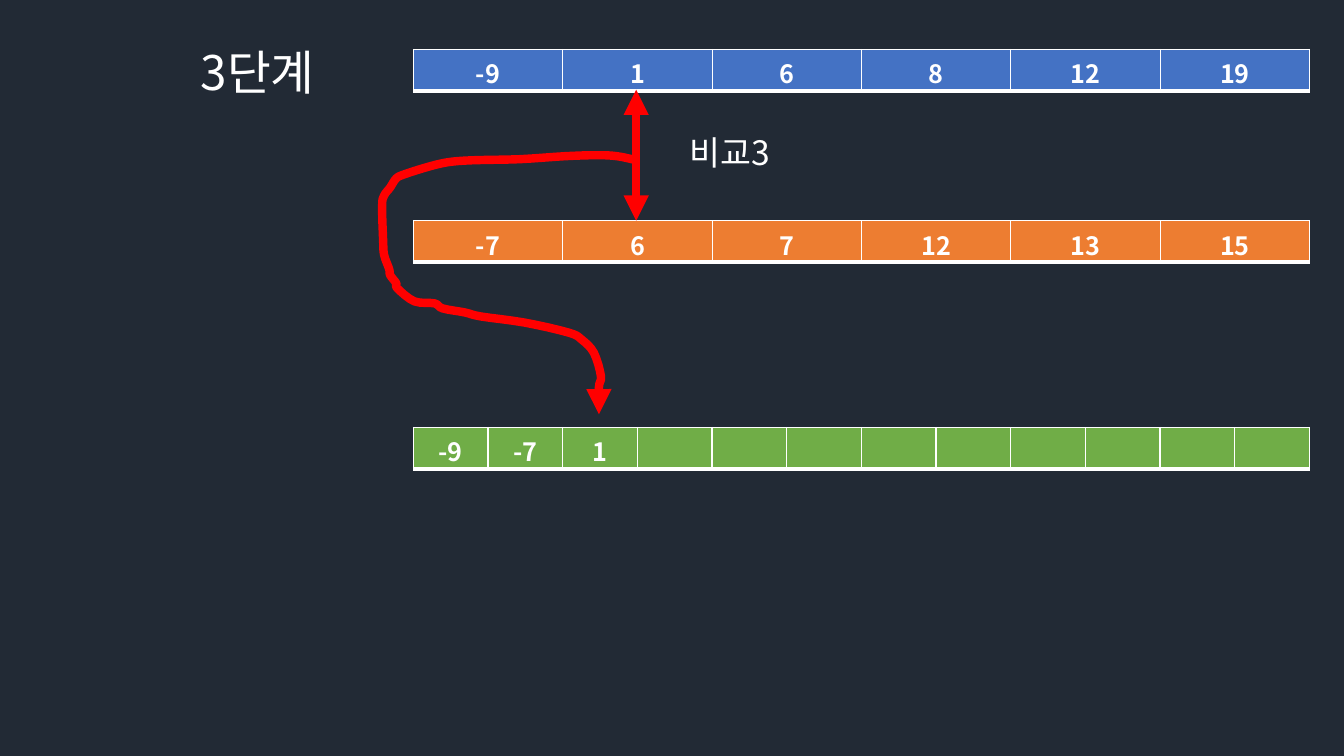
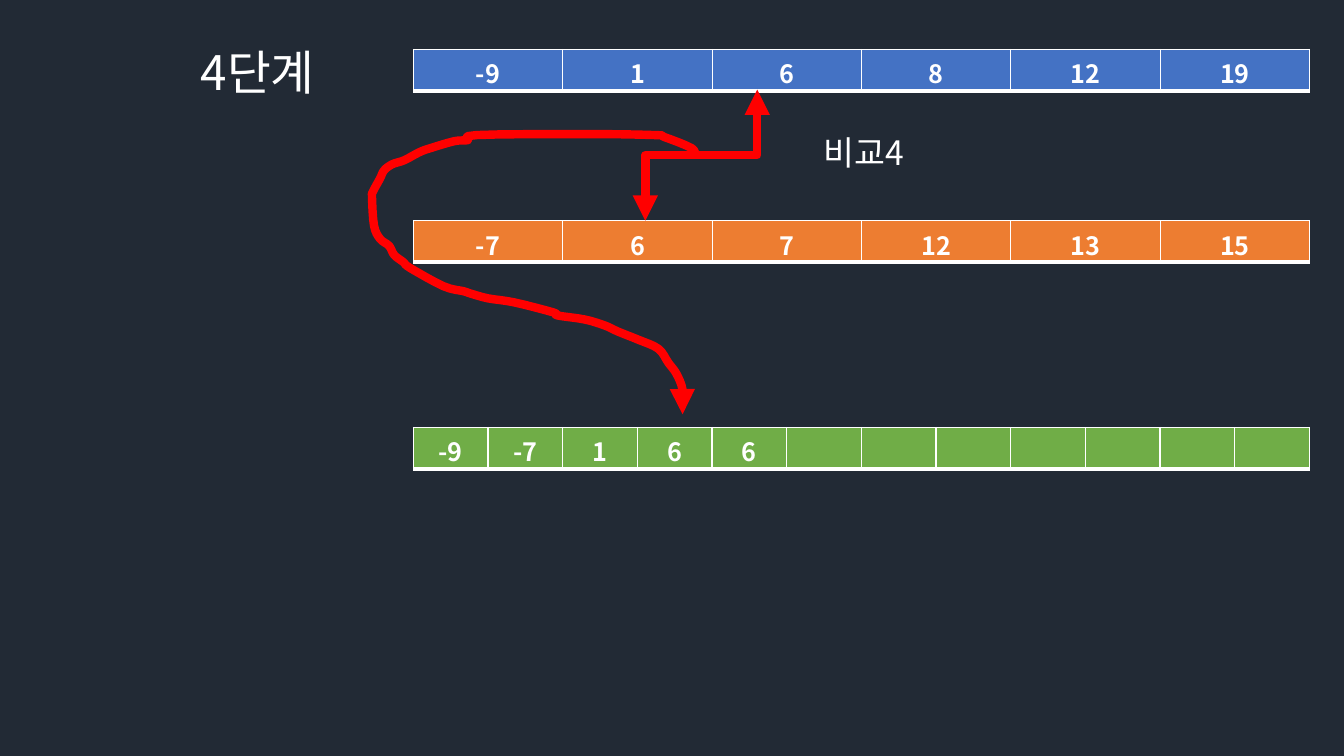
from pptx import Presentation
from pptx import util as u
from pptx.dml.color import RGBColor
from pptx.enum import shapes, text
from pptx.oxml import parse_xml
from pptx.oxml.ns import nsdecls, qn

FONT = "Noto Sans CJK KR"
COLORS = {"back": "222A35", "white": "FFFFFF", "arrow": "FF0000",
          "first": "4472C4", "second": "ED7D31", "merged": "70AD47"}

# Grid: all arrays share one width, divided evenly into their cells
SLIDE_W, SLIDE_H = 13.33, 7.5
ARRAY_LEFT, ARRAY_W, ROW_H = 4.1, 8.89, 0.41
ARRAY_TOPS = {"first": 0.49, "second": 2.19, "merged": 4.24}
FIRST = [-9, 1, 6, 8, 12, 19]
SECOND = [-7, 6, 7, 12, 13, 15]
MERGED_SIZE = len(FIRST) + len(SECOND)
COMPARE_TOP, COMPARE_BOTTOM = 0.89, 2.19

STEPS = [
    {"title": "3단계", "label": "비교3", "label_left": 6.74,
     "merged": [-9, -7, 1], "compare": (6.31, 6.31),
     "trail": [(6.31, 1.59), (6.12, 1.55), (5.92, 1.54), (5.6, 1.55),
               (5.15, 1.58), (4.69, 1.59), (4.44, 1.61), (4.23, 1.66),
               (4.01, 1.73), (3.93, 1.77), (3.87, 1.86), (3.81, 1.94),
               (3.79, 2.04), (3.8, 2.39), (3.81, 2.53), (3.86, 2.67),
               (3.87, 2.73), (3.93, 2.81), (3.94, 2.86), (4.11, 2.99),
               (4.31, 3.01), (4.39, 3.06), (4.61, 3.1), (4.77, 3.14),
               (5.2, 3.2), (5.64, 3.3), (5.77, 3.37), (5.89, 3.5),
               (5.96, 3.73), (5.94, 3.84), (5.94, 4.11)]},
    {"title": "4단계", "label": "비교4", "label_left": 8.07,
     "merged": [-9, -7, 1, 6, 6], "compare": (6.4, 7.51),
     "trail": [(6.89, 1.54), (6.86, 1.47), (6.59, 1.36), (6.49, 1.34),
               (5.79, 1.33), (4.73, 1.34), (4.64, 1.39), (4.51, 1.4),
               (4.27, 1.47), (4.16, 1.51), (4.01, 1.59), (3.89, 1.63),
               (3.81, 1.69), (3.77, 1.77), (3.7, 1.9), (3.69, 1.96),
               (3.71, 2.24), (3.77, 2.37), (3.86, 2.44), (3.91, 2.53),
               (4, 2.6), (4.07, 2.66), (4.4, 2.84), (4.6, 2.89),
               (4.66, 2.91), (4.84, 2.96), (5.1, 3), (5.49, 3.1),
               (5.53, 3.13), (5.8, 3.17), (6, 3.23), (6.13, 3.29),
               (6.33, 3.37), (6.53, 3.46), (6.63, 3.6), (6.71, 3.71),
               (6.77, 3.87), (6.77, 4.11)]},
]


def color(name):
    return RGBColor.from_string(COLORS[name])


def write(frame, words, size, bold=False, align=text.PP_ALIGN.LEFT):
    """Set one white paragraph in the shared font."""
    frame.text = str(words)
    para = frame.paragraphs[0]
    para.alignment = align
    for span in para.runs:
        span.font.size, span.font.bold, span.font.name = u.Pt(size), bold, FONT
        span.font.color.rgb = color("white")
        span.font._element.append(
            parse_xml(f'<a:ea {nsdecls("a")} typeface="{FONT}"/>'))


def place_text(box, at, words, size):
    box.left, box.top, box.width, box.height = map(u.Inches, at)
    frame = box.text_frame
    frame.word_wrap = True
    frame.vertical_anchor = text.MSO_ANCHOR.TOP
    frame.auto_size = text.MSO_AUTO_SIZE.SHAPE_TO_FIT_TEXT
    write(frame, words, size)


def border_cell(cell):
    """White edges, with a heavier one below."""
    props = cell._tc.get_or_add_tcPr()
    for index, (side, width) in enumerate(zip("LRTB", (1, 1, 1, 3))):
        props.insert(index, parse_xml(
            f'<a:ln{side} {nsdecls("a")} w="{u.Pt(width)}"><a:solidFill>'
            f'<a:srgbClr val="{COLORS["white"]}"/></a:solidFill></a:ln{side}>'))


def add_array(page, name, values, size):
    holder = page.shapes.add_table(
        1, size, u.Inches(ARRAY_LEFT), u.Inches(ARRAY_TOPS[name]),
        u.Inches(ARRAY_W), u.Inches(ROW_H))
    table = holder.table
    table.first_row = table.horz_banding = False
    for column in table.columns:
        column.width = u.Inches(ARRAY_W / size)
    for index in range(size):
        cell = table.cell(0, index)
        cell.fill.solid()
        cell.fill.fore_color.rgb = color(name)
        border_cell(cell)
        if index < len(values):
            write(cell.text_frame, values[index], 18, True,
                  text.PP_ALIGN.CENTER)


def style_arrow(arrow, ends):
    arrow.line.color.rgb = color("arrow")
    arrow.line.width = u.Pt(6)
    line = arrow.line._get_or_add_ln()
    line.append(parse_xml(f'<a:round {nsdecls("a")}/>'))
    for end in ends:
        line.append(parse_xml(f'<a:{end} {nsdecls("a")} type="triangle"/>'))


def add_comparison(page, lower_x, upper_x):
    """Double arrow between the arrays, with an elbow if they are offset."""
    mid_x, mid_y = (lower_x + upper_x) / 2, (COMPARE_TOP + COMPARE_BOTTOM) / 2
    half_w, half_h = (upper_x - lower_x) / 2, (COMPARE_BOTTOM - COMPARE_TOP) / 2
    bent = half_w != 0
    kind = shapes.MSO_CONNECTOR.ELBOW if bent else shapes.MSO_CONNECTOR.STRAIGHT
    # An elbow leaves sideways, so it is laid down and turned a quarter
    dx, dy = (half_h, half_w) if bent else (0, half_h)
    arrow = page.shapes.add_connector(
        kind, u.Inches(mid_x + dx), u.Inches(mid_y + dy),
        u.Inches(mid_x - dx), u.Inches(mid_y - dy))
    style_arrow(arrow, ("headEnd", "tailEnd"))
    props = arrow._element.spPr
    if bent:
        props.find(qn("a:xfrm")).set("rot", str(90 * 60000))
    props.append(parse_xml(f'<a:effectLst {nsdecls("a")}/>'))


def smooth(points, steps=4):
    """Catmull-Rom curve through the points."""
    padded = [points[0], *points, points[-1]]
    curve = [points[0]]
    for a, b, c, d in zip(padded, padded[1:], padded[2:], padded[3:]):
        for step in range(1, steps + 1):
            t = step / steps
            curve.append(tuple(
                (2 * q + (r - p) * t + (2 * p - 5 * q + 4 * r - s) * t ** 2
                 + (3 * q - p - 3 * r + s) * t ** 3) / 2
                for p, q, r, s in zip(a, b, c, d)))
    return curve


def add_trail(page, points):
    """Hand-drawn arrow from the comparison to the merged array."""
    start, *rest = [(u.Inches(x), u.Inches(y)) for x, y in smooth(points)]
    builder = page.shapes.build_freeform(*start)
    builder.add_line_segments(rest, close=False)
    trail = builder.convert_to_shape()
    trail.fill.background()
    trail.shadow.inherit = False
    style_arrow(trail, ("tailEnd",))


def add_step(deck, step):
    page = deck.slides.add_slide(deck.slide_layouts[5])
    add_array(page, "first", FIRST, len(FIRST))
    add_array(page, "second", SECOND, len(SECOND))
    add_array(page, "merged", step["merged"], MERGED_SIZE)
    place_text(page.shapes.title, (1.89, 0.38, 1.52, 0.67), step["title"], 34)
    label = page.shapes.add_textbox(0, 0, 0, 0)
    place_text(label, (step["label_left"], 1.26, 1.3, 0.5), step["label"], 24)
    add_comparison(page, *step["compare"])
    add_trail(page, step["trail"])


def main():
    deck = Presentation()
    deck.slide_width, deck.slide_height = u.Inches(SLIDE_W), u.Inches(SLIDE_H)
    backdrop = deck.slide_master.background.fill
    backdrop.solid()
    backdrop.fore_color.rgb = color("back")
    for step in STEPS:
        add_step(deck, step)
    deck.save("out.pptx")


main()
